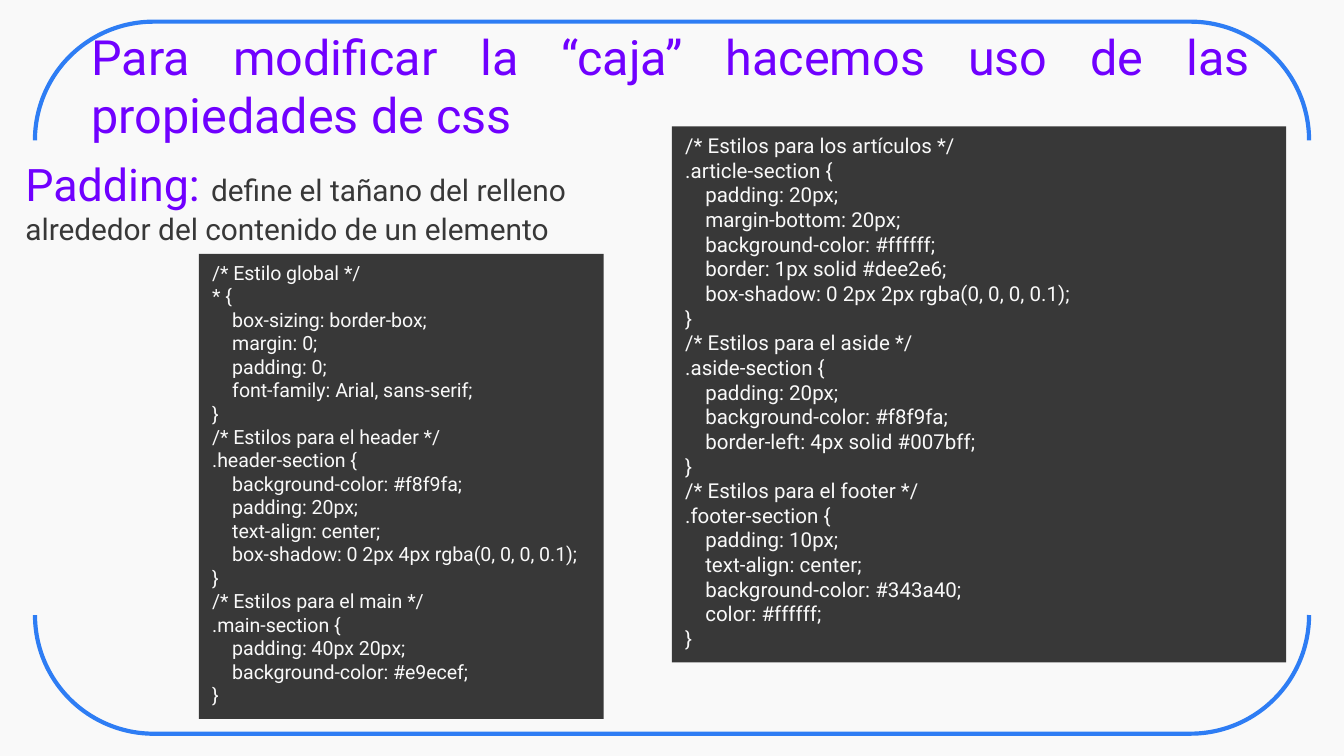
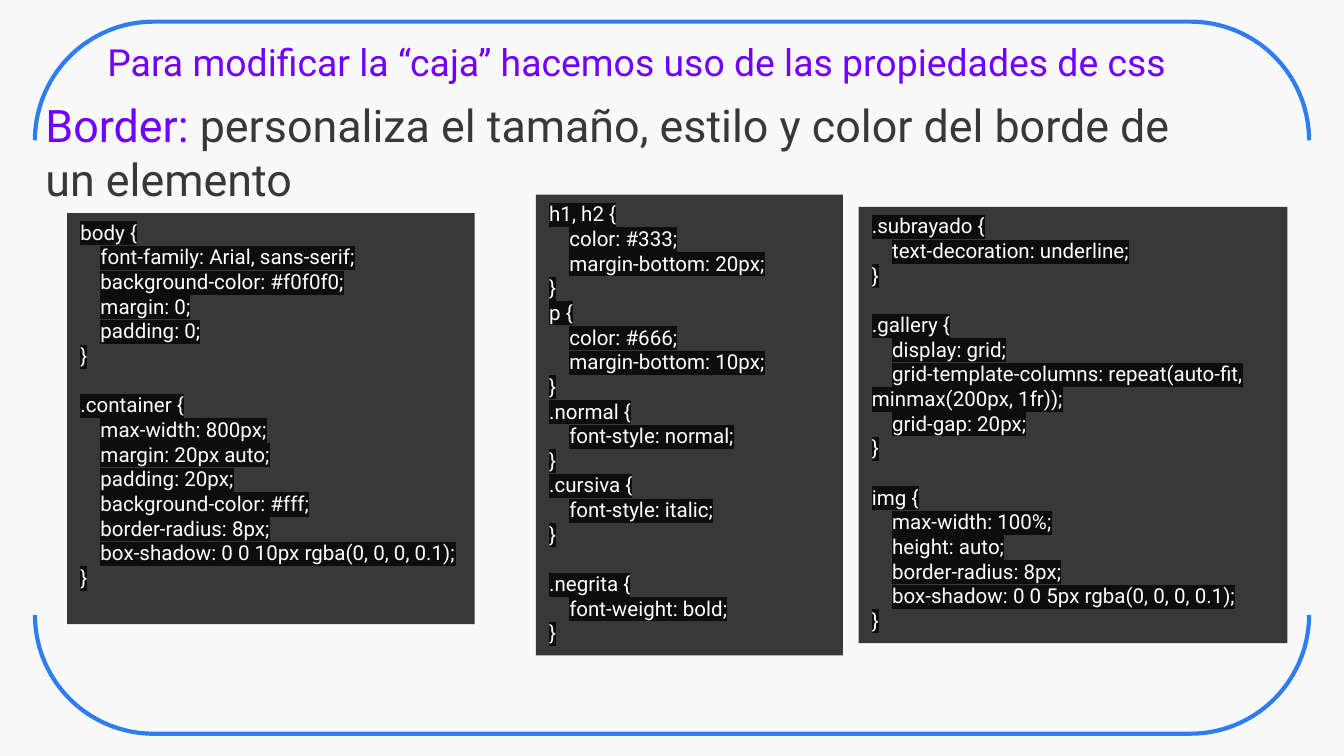
"""Builds two slides on CSS box properties."""
from lxml import etree
from pptx import Presentation
from pptx import util as u
from pptx.dml.color import RGBColor
from pptx.enum import shapes, text
from pptx.oxml.ns import qn

COLORS = {
    "paper": "F9F9F9",
    "frame": "2E7DF4",
    "accent": "7000FF",
    "dark": "383838",
    "white": "FFFFFF",
    "mark": "0D0D0D",
}
FONT = "Roboto"
TITLE = "Para modificar la “caja” hacemos uso de las propiedades de css"
INDENT = u.Cm(0.38)
LINE_PITCH = 1.2

ARTICLE_CSS = """/* Estilos para los artículos */
.article-section {
    padding: 20px;
    margin-bottom: 20px;
    background-color: #ffffff;
    border: 1px solid #dee2e6;
    box-shadow: 0 2px 2px rgba(0, 0, 0, 0.1);
}
/* Estilos para el aside */
.aside-section {
    padding: 20px;
    background-color: #f8f9fa;
    border-left: 4px solid #007bff;
}
/* Estilos para el footer */
.footer-section {
    padding: 10px;
    text-align: center;
    background-color: #343a40;
    color: #ffffff;
}"""

GLOBAL_CSS = """/* Estilo global */
* {
    box-sizing: border-box;
    margin: 0;
    padding: 0;
    font-family: Arial, sans-serif;
}
/* Estilos para el header */
.header-section {
    background-color: #f8f9fa;
    padding: 20px;
    text-align: center;
    box-shadow: 0 2px 4px rgba(0, 0, 0, 0.1);
}
/* Estilos para el main */
.main-section {
    padding: 40px 20px;
    background-color: #e9ecef;
}"""

CONTAINER_CSS = """body {
    font-family: Arial, sans-serif;
    background-color: #f0f0f0;
    margin: 0;
    padding: 0;
}

.container {
    max-width: 800px;
    margin: 20px auto;
    padding: 20px;
    background-color: #fff;
    border-radius: 8px;
    box-shadow: 0 0 10px rgba(0, 0, 0, 0.1);
}"""

TEXT_CSS = """h1, h2 {
    color: #333;
    margin-bottom: 20px;
}
p {
    color: #666;
    margin-bottom: 10px;
}
.normal {
    font-style: normal;
}
.cursiva {
    font-style: italic;
}

.negrita {
    font-weight: bold;
}"""

GALLERY_CSS = """.subrayado {
    text-decoration: underline;
}

.gallery {
    display: grid;
    grid-template-columns: repeat(auto-fit, minmax(200px, 1fr));
    grid-gap: 20px;
}

img {
    max-width: 100%;
    height: auto;
    border-radius: 8px;
    box-shadow: 0 0 5px rgba(0, 0, 0, 0.1);
}"""


def rgb(name):
    """Return a palette colour."""
    return RGBColor.from_string(COLORS[name])


def cm_box(box):
    """Turn left, top, width and height in centimetres into lengths."""
    return [u.Cm(v) for v in box]


def style_run(r, size, color, mark=None):
    """Set the font of a run and, if asked, its highlight."""
    r.font.name = FONT
    r.font.size = u.Pt(size)
    r.font.color.rgb = rgb(color)
    if mark:
        hl = etree.Element(qn("a:highlight"))
        etree.SubElement(hl, qn("a:srgbClr")).set("val", COLORS[mark])
        r.font._element.find(qn("a:solidFill")).addnext(hl)


def add_frame(s, box):
    """Draw the bracket pair, turned a quarter, so that it spans the box."""
    left, top, width, height = box
    cx, cy = left + width / 2, top + height / 2
    sp = s.shapes.add_shape(
        shapes.MSO_SHAPE.DOUBLE_BRACKET,
        *cm_box((cx - height / 2, cy - width / 2, height, width)))
    sp.rotation = 90
    sp.shadow.inherit = False
    sp.fill.background()
    sp.line.color.rgb = rgb("frame")
    sp.line.width = u.Pt(2.25)


def add_text(s, box, parts, align=text.PP_ALIGN.LEFT):
    """Add one paragraph made of (wording, size, colour) parts."""
    tf = s.shapes.add_textbox(*cm_box(box)).text_frame
    tf.word_wrap = True
    p = tf.paragraphs[0]
    p.alignment = align
    for wording, size, color in parts:
        r = p.add_run()
        r.text = wording
        style_run(r, size, color)


def add_code(s, box, code, size=11, color="white", mark=None):
    """Add a dark panel of code, with indents and gaps taken from its lines."""
    sp = s.shapes.add_shape(shapes.MSO_SHAPE.RECTANGLE, *cm_box(box))
    sp.shadow.inherit = False
    sp.fill.solid()
    sp.fill.fore_color.rgb = rgb("dark")
    sp.line.fill.background()
    tf = sp.text_frame
    tf.word_wrap = True
    tf.vertical_anchor = text.MSO_ANCHOR.TOP
    lines = code.split("\n")
    tf.text = "\n".join(line.strip() for line in lines if line)
    paragraphs = iter(tf.paragraphs)
    gap = 0
    for line in lines:
        if not line:
            gap = size * LINE_PITCH
            continue
        p = next(paragraphs)
        p.alignment = text.PP_ALIGN.LEFT
        p.space_before = u.Pt(gap)
        gap = 0
        if line.startswith(" "):
            p._p.get_or_add_pPr().set("indent", str(INDENT))
        style_run(p.runs[0], size, color, mark)


def new_slide(prs, title_box, title_size):
    """Add a slide with background, frame and title."""
    s = prs.slides.add_slide(prs.slide_layouts[6])
    s.background.fill.solid()
    s.background.fill.fore_color.rgb = rgb("paper")
    add_frame(s, (0.66, 0.41, 24.08, 13.46))
    add_text(s, title_box, [(TITLE, title_size, "accent")],
             text.PP_ALIGN.JUSTIFY)
    return s


def padding_slide(prs):
    """Build the slide on padding."""
    s = new_slide(prs, (1.48, 0.38, 22.43, 2.49), 26)
    add_text(s, (0.23, 2.84, 11.18, 2.64), [
        ("Padding: ", 24, "accent"),
        ("define el tañano del relleno alrededor del contenido de un elemento",
         16, "dark")])
    add_code(s, (12.7, 2.39, 11.61, 10.13), ARTICLE_CSS, color="paper")
    add_code(s, (3.76, 4.8, 7.65, 8.79), GLOBAL_CSS, 10.5, "paper")


def border_slide(prs):
    """Build the slide on borders."""
    s = new_slide(prs, (1.78, 0.61, 22.43, 1.12), 20)
    add_text(s, (0.61, 1.73, 22.43, 2.31), [
        ("Border: ", 24, "accent"),
        ("personaliza el tamaño, estilo y color del borde de un elemento",
         24, "dark")])
    panels = [
        ((1.27, 4.03, 7.7, 7.77), CONTAINER_CSS),
        ((10.13, 3.68, 5.8, 8.71), TEXT_CSS),
        ((16.23, 3.91, 8.1, 8.25), GALLERY_CSS),
    ]
    for box, code in panels:
        add_code(s, box, code, mark="mark")


def main():
    """Build and save the presentation."""
    prs = Presentation()
    prs.slide_width, prs.slide_height = u.Cm(25.4), u.Cm(14.29)
    padding_slide(prs)
    border_slide(prs)
    prs.save("out.pptx")


if __name__ == "__main__":
    main()
